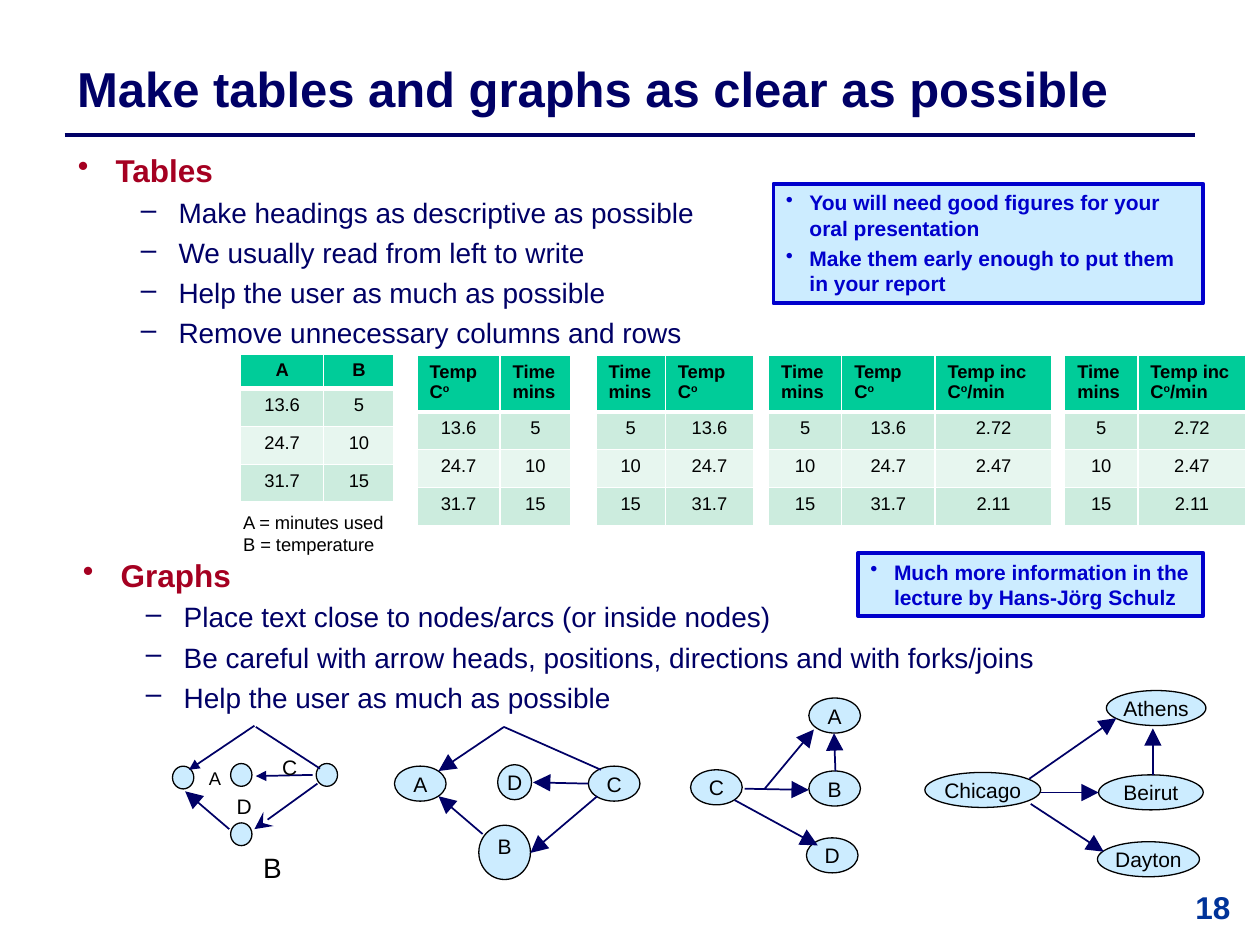
from lxml.etree import SubElement
from pptx import Presentation
from pptx.dml.color import RGBColor
from pptx.enum.shapes import MSO_CONNECTOR, MSO_SHAPE
from pptx.enum.text import MSO_ANCHOR, PP_ALIGN
from pptx.oxml.ns import qn
from pptx.util import Pt

NAVY = RGBColor(0x00, 0x00, 0x66)
CRIMSON = RGBColor(0xA5, 0x00, 0x21)
PAGE_BLUE = RGBColor(0x00, 0x33, 0x99)
NOTE_BLUE = RGBColor(0x00, 0x00, 0xCC)
PALE_BLUE = RGBColor(0xCC, 0xEC, 0xFF)
GREEN = RGBColor(0x00, 0xCC, 0x99)
BANDS = (RGBColor(0xCC, 0xEC, 0xDE), RGBColor(0xE7, 0xF6, 0xEF))
BLACK = RGBColor(0x00, 0x00, 0x00)

TIME, TEMP, INCREASE = "Time\nmins", "Temp\nC^o", "Temp inc\nC^o^/min"
MINUTES = ("5", "10", "15")
DEGREES = ("13.6", "24.7", "31.7")
RATES = ("2.72", "2.47", "2.11")
TABLES = [
    (137.5, 202.3, 19, [("A", 47.5, DEGREES), ("B", 40.3, MINUTES)]),
    (238.3, 203, 31, [(TEMP, 47.5, DEGREES), (TIME, 40.3, MINUTES)]),
    (340.6, 203, 30, [(TIME, 39.6, MINUTES), (TEMP, 50.4, DEGREES)]),
    (439.2, 203, 31, [(TIME, 41.8, MINUTES), (TEMP, 53.3, DEGREES), (INCREASE, 67, RATES)]),
    (608.4, 203, 31, [(TIME, 41.8, MINUTES), (INCREASE, 61.9, RATES)]),
]

BIG, SMALL, STEALTH = ("triangle", "lg"), ("triangle", "med"), ("stealth", "lg")
GRAPHS = [
    {
        "nodes": [("A", 225.4, 437.8, 29.5, 20), ("D", 284.4, 437, 19.4, 20),
                  ("C", 336.2, 437.8, 29.5, 20), ("B", 273.6, 471.6, 29.5, 31)],
        "arcs": [(288, 415.4, 250.6, 440.6, BIG), (336.2, 447.8, 304.6, 447.1, BIG),
                 (341.3, 455, 303.1, 487.4, BIG), (275.8, 476.6, 250.6, 455, BIG),
                 (343.4, 439.9, 288, 415.4, None)],
    },
    {
        "nodes": [("A", 462.2, 398.9, 29.5, 20), ("B", 462.2, 440.6, 29.5, 20),
                  ("C", 394.6, 439.9, 29.5, 20), ("D", 460.8, 478.8, 29.5, 20)],
        "arcs": [(425.5, 450.7, 462.2, 451.4, BIG), (419.8, 457.2, 467.3, 483.1, BIG),
                 (477.4, 440.6, 476.6, 419, BIG), (437, 450.7, 465.1, 416.9, BIG)],
    },
    {
        "nodes": [("", left, top, 12.2, 13) for left, top in
                  ((98.6, 437.8), (131.8, 436.3), (180.7, 436.3), (131.8, 470.2))],
        "arcs": [(178.6, 442.8, 146.2, 443.5, SMALL), (181.4, 447.8, 145.4, 473.8, STEALTH),
                 (145.4, 414.7, 108, 439.9, SMALL), (182.9, 439.2, 146.2, 415.4, None),
                 (131, 473.8, 105.8, 452.2, BIG)],
        "labels": [("A", 112.3, 434.9, 10.5), ("B", 143.3, 482.4, 16),
                   ("C", 154.1, 427.7, 12), ("D", 128.2, 450, 12)],
    },
    {
        "nodes": [("Athens", 632.2, 394.6, 56.9, 20), ("Beirut", 627.8, 442.8, 59.8, 20),
                  ("Chicago", 528.5, 441.4, 66.2, 20), ("Dayton", 627.1, 481, 58.3, 20)],
        "arcs": [(594.7, 452.9, 627.8, 452.9, BIG), (589, 459.4, 630.7, 486.7, BIG),
                 (658.8, 442.8, 658.8, 416.2, BIG), (588.2, 445, 637.9, 410.4, BIG)],
    },
]


class SlideBuilder:
    """Holds the house style and the slide being built."""

    def __init__(self, slide, font_name="Arial"):
        self.slide = slide
        self.font_name = font_name

    def style(self, paragraph, size, color, bold=False, align=PP_ALIGN.LEFT):
        paragraph.alignment = align
        font = paragraph.font
        font.name, font.size, font.bold = self.font_name, Pt(size), bold
        font.color.rgb = color

    def bullet(self, paragraph, character, margin, hanging):
        properties = paragraph._p.get_or_add_pPr()
        properties.set("marL", str(Pt(margin)))
        properties.set("indent", str(-Pt(hanging)))
        SubElement(properties, qn("a:buChar")).set("char", character)

    def text(self, lines, left, top, width, height, size, color=BLACK, bold=False,
             align=PP_ALIGN.LEFT, anchor=MSO_ANCHOR.TOP, shapes=None):
        box = (shapes or self.slide.shapes).add_textbox(Pt(left), Pt(top), Pt(width), Pt(height))
        frame = box.text_frame
        frame.word_wrap = True
        frame.vertical_anchor = anchor
        frame.text = lines
        for paragraph in frame.paragraphs:
            self.style(paragraph, size, color, bold, align)

    def outline(self, heading, points, left, top, width, height):
        box = self.slide.shapes.add_textbox(Pt(left), Pt(top), Pt(width), Pt(height))
        frame = box.text_frame
        frame.word_wrap = True
        frame.text = "\n".join([heading, *points])
        first, *rest = frame.paragraphs
        self.bullet(first, "•", 21.6, 21.6)
        self.style(first, 18, CRIMSON, True)
        for paragraph in rest:
            paragraph.level = 1
            paragraph.space_before = Pt(3.7)
            self.bullet(paragraph, "–", 57.6, 21.6)
            self.style(paragraph, 16, NAVY)

    def filled(self, shapes, kind, left, top, width, height, line_color, line_width):
        shape = shapes.add_shape(kind, Pt(left), Pt(top), Pt(width), Pt(height))
        shape.shadow.inherit = False
        shape.fill.solid()
        shape.fill.fore_color.rgb = PALE_BLUE
        shape.line.color.rgb = line_color
        shape.line.width = Pt(line_width)
        shape.text_frame.vertical_anchor = MSO_ANCHOR.TOP
        return shape

    def callout(self, points, left, top, width, height):
        shape = self.filled(self.slide.shapes, MSO_SHAPE.RECTANGLE,
                            left, top, width, height, NOTE_BLUE, 2.25)
        frame = shape.text_frame
        frame.word_wrap = True
        frame.text = "\n".join(points)
        for index, paragraph in enumerate(frame.paragraphs):
            if index:
                paragraph.space_before = Pt(3)
            self.bullet(paragraph, "•", 13.5, 13.5)
            self.style(paragraph, 12, NOTE_BLUE, True)

    def node(self, shapes, label, left, top, width, height):
        shape = self.filled(shapes, MSO_SHAPE.OVAL, left, top, width, height, BLACK, 0.75)
        if label:
            frame = shape.text_frame
            frame.margin_left = frame.margin_top = frame.margin_right = frame.margin_bottom = 0
            frame.word_wrap = False
            frame.text = label
            self.style(frame.paragraphs[0], 12, BLACK, align=PP_ALIGN.CENTER)

    def line(self, shapes, x1, y1, x2, y2, head=None, width=1):
        connector = shapes.add_connector(MSO_CONNECTOR.STRAIGHT, Pt(x1), Pt(y1), Pt(x2), Pt(y2))
        connector.line.color.rgb = NAVY
        connector.line.width = Pt(width)
        if head:
            kind, size = head
            tail = SubElement(connector.line._get_or_add_ln(), qn("a:tailEnd"))
            for name, value in (("type", kind), ("w", size), ("len", size)):
                tail.set(name, value)
        SubElement(connector._element.spPr, qn("a:effectLst"))

    def graph(self, nodes, arcs, labels=()):
        shapes = self.slide.shapes.add_group_shape().shapes
        for node in nodes:
            self.node(shapes, *node)
        for arc in arcs:
            self.line(shapes, *arc)
        for label, left, top, size in labels:
            self.text(label, left, top, 25, 22, size, shapes=shapes)

    def cell(self, cell, content, fill, header, align):
        properties = cell._tc.get_or_add_tcPr()
        for side in "LRTB":
            border = SubElement(properties, qn(f"a:ln{side}"))
            border.set("w", str(Pt(3 if header and side == "B" else 1)))
            paint = SubElement(border, qn("a:solidFill"))
            SubElement(paint, qn("a:srgbClr")).set("val", "FFFFFF")
        cell.fill.solid()
        cell.fill.fore_color.rgb = fill
        paragraph = cell.text_frame.paragraphs[0]
        base, *pieces = content.split("^")
        paragraph.text = base
        for index, piece in enumerate(pieces):
            run = paragraph.add_run()
            run.text = piece
            if index % 2 == 0:
                run._r.get_or_add_rPr().set("baseline", "30000")
        self.style(paragraph, 10.5, BLACK, header, align)

    def table(self, left, top, header_height, columns):
        heights = [header_height] + [21.6] * len(MINUTES)
        width = sum(column[1] for column in columns)
        table = self.slide.shapes.add_table(len(heights), len(columns), Pt(left), Pt(top),
                                            Pt(width), Pt(sum(heights))).table
        for row, height in zip(table.rows, heights):
            row.height = Pt(height)
        for index, (heading, column_width, values) in enumerate(columns):
            table.columns[index].width = Pt(column_width)
            heading_align = PP_ALIGN.LEFT if "\n" in heading else PP_ALIGN.CENTER
            self.cell(table.cell(0, index), heading, GREEN, True, heading_align)
            for row, value in enumerate(values):
                self.cell(table.cell(row + 1, index), value, BANDS[row % 2], False, PP_ALIGN.CENTER)


def main():
    presentation = Presentation()
    presentation.slide_width, presentation.slide_height = Pt(720), Pt(540)
    slide = presentation.slides.add_slide(presentation.slide_layouts[6])
    builder = SlideBuilder(slide)
    builder.line(slide.shapes, 37, 77.3, 683, 77.3, width=2)
    builder.text("Make tables and graphs as clear as possible", 37, 26, 675, 48, 28, NAVY,
                 True, anchor=MSO_ANCHOR.MIDDLE)
    builder.text("18", 666, 504, 54, 36, 18, PAGE_BLUE, True, PP_ALIGN.CENTER)
    for table in TABLES:
        builder.table(*table)
    builder.text("A = minutes used\nB = temperature", 131.8, 288.7, 99.4, 33.8, 10.5)
    builder.outline("Tables", ["Make headings as descriptive as possible",
                               "We usually read from left to write",
                               "Help the user as much as possible",
                               "Remove unnecessary columns and rows"], 37.4, 83, 385, 118)
    builder.outline("Graphs", ["Place text close to nodes/arcs (or inside nodes)",
                               "Be careful with arrow heads, positions, directions and with forks/joins",
                               "Help the user as much as possible"], 40.3, 314, 622, 95)
    for graph in GRAPHS:
        builder.graph(**graph)
    builder.callout(["You will need good figures for your oral presentation",
                     "Make them early enough to put them in your report"], 442, 105, 245.6, 68.4)
    builder.callout(["Much more information in the lecture by Hans-Jörg Schulz"],
                    490.3, 316, 197.3, 36)
    presentation.save("out.pptx")


if __name__ == "__main__":
    main()
